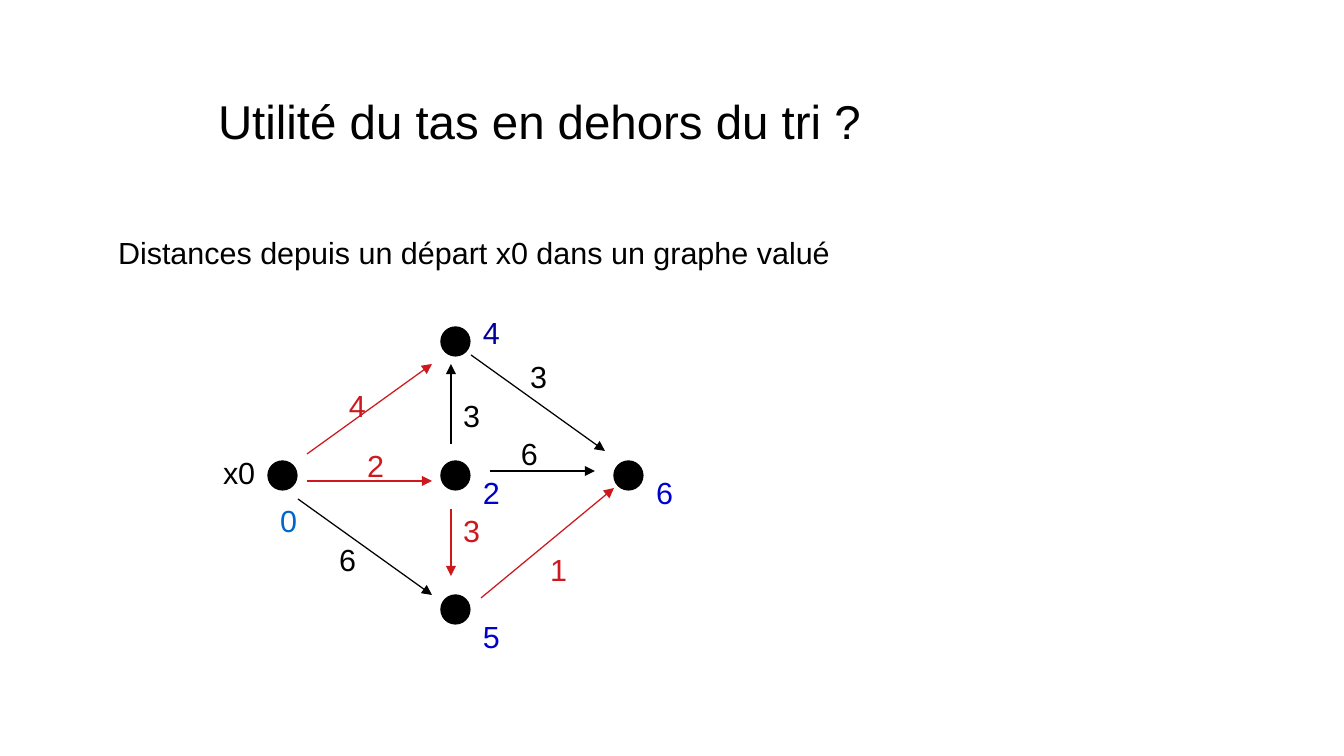
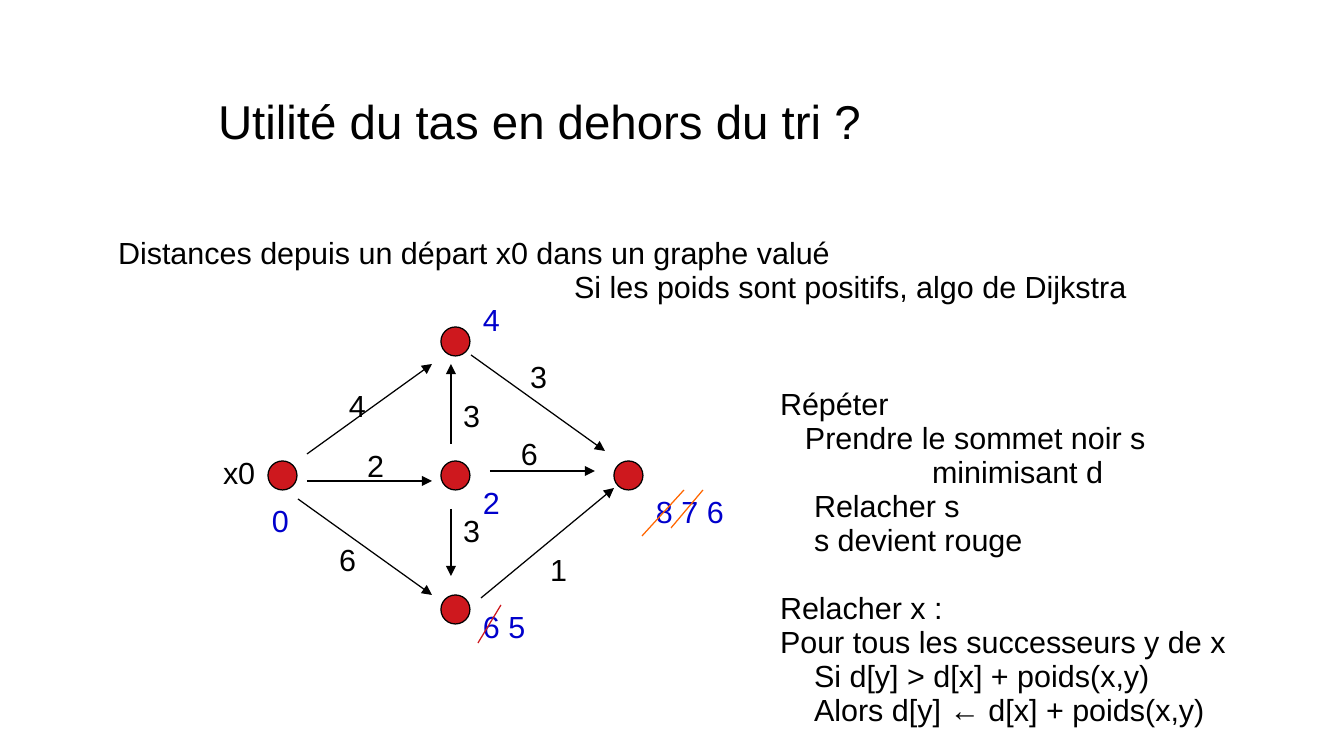
from dataclasses import dataclass

from lxml import etree
from pptx import Presentation
from pptx import util as u
from pptx.dml.color import RGBColor
from pptx.enum import shapes, text
from pptx.oxml import ns
from pptx.slide import Slide

EMU_PER_PX = 914400 / 122
SLIDE_WIDTH, SLIDE_HEIGHT = 1344, 756

BLACK = RGBColor(0x00, 0x00, 0x00)
WHITE = RGBColor(0xFF, 0xFF, 0xFF)
RED = RGBColor(0xCE, 0x18, 0x1E)
ORANGE = RGBColor(0xFF, 0x66, 0x00)
BLUE = RGBColor(0x00, 0x00, 0xCC)
NAVY = RGBColor(0x00, 0x00, 0x99)
AZURE = RGBColor(0x00, 0x66, 0xCC)

FONT = "Arial"
TITLE_SIZE, BODY_SIZE = 28, 18
LINE_SPACING = 0.93
LINE_WIDTH = u.Pt(0.75)

NODE_SIZE = 29
NODE_LEFT, NODE_TOP = 268, 327
COLUMN_STEP, ROW_STEP = 173, 134
NODE_CELLS = [(0, 1), (1, 0), (1, 1), (1, 2), (2, 1)]
LABEL_HEIGHT = 46

Point = tuple[int, int]


@dataclass(frozen=True)
class Line:
    text: str
    indent: int = 0
    space_before: int = 0


@dataclass(frozen=True)
class Edge:
    start: Point
    end: Point
    weight: str
    weight_at: Point
    shortest: bool = False


@dataclass(frozen=True)
class Distance:
    text: str
    at: Point
    color: RGBColor = BLUE
    width: int = 48


@dataclass(frozen=True)
class Strike:
    start: Point
    end: Point
    color: RGBColor


TITLE = Line("Utilité du tas en dehors du tri ?", indent=158)
SUBJECT = Line("Distances depuis un départ x0 dans un graphe valué")
DIJKSTRA = Line("Si les poids sont positifs, algo de Dijkstra", indent=456)

EDGES = [
    Edge((307, 454), (432, 364), "4", (337, 384), shortest=True),
    Edge((307, 481), (432, 481), "2", (355, 444), shortest=True),
    Edge((298, 499), (432, 595), "6", (327, 538)),
    Edge((481, 598), (614, 488), "1", (538, 548), shortest=True),
    Edge((471, 355), (605, 451), "3", (518, 355)),
    Edge((490, 471), (595, 471), "6", (509, 432)),
    Edge((451, 509), (451, 576), "3", (451, 509), shortest=True),
    Edge((451, 444), (451, 364), "3", (451, 394)),
]

FINAL_DISTANCES = [
    Distance("0", (268, 499), AZURE),
    Distance("4", (471, 311), NAVY),
    Distance("2", (471, 471)),
    Distance("5", (471, 615)),
    Distance("6", (644, 471)),
]

UPDATED_DISTANCES = [
    Distance("0", (260, 499)),
    Distance("4", (471, 298)),
    Distance("2", (471, 481)),
    Distance("6 5", (471, 605), width=77),
    Distance("8 7 6", (644, 490), width=144),
]

STRIKES = [
    Strike((501, 605), (478, 643), RED),
    Strike((684, 490), (642, 536), ORANGE),
    Strike((703, 490), (671, 528), ORANGE),
]

ALGORITHM = [
    Line("Répéter"),
    Line("Prendre le sommet noir s", indent=25),
    Line("minimisant d", indent=152),
    Line("Relacher s", indent=34),
    Line("s devient rouge", indent=34),
    Line("Relacher x :", space_before=34),
    Line("Pour tous les successeurs y de x"),
    Line("Si d[y] > d[x] + poids(x,y)", indent=34),
    Line("Alors d[y] ← d[x] + poids(x,y)", indent=34),
]


def px(length: int) -> u.Emu:
    return u.Emu(round(length * EMU_PER_PX))


def add_text(slide: Slide, at: Point, width: int, height: int, lines: list[Line],
             color: RGBColor = BLACK, size: int = BODY_SIZE, inset_top: int = 6) -> None:
    box = slide.shapes.add_textbox(px(at[0]), px(at[1]), px(width), px(height))
    frame = box.text_frame
    frame.word_wrap = True
    frame.vertical_anchor = text.MSO_ANCHOR.TOP
    frame.margin_left = frame.margin_right = px(12)
    frame.margin_top, frame.margin_bottom = px(inset_top), px(6)
    frame.text = "\n".join(line.text for line in lines)
    for paragraph, line in zip(frame.paragraphs, lines):
        paragraph.line_spacing = LINE_SPACING
        if line.space_before:
            paragraph.space_before = px(line.space_before)
        if line.indent:
            properties = paragraph._p.get_or_add_pPr()
            properties.set("marL", str(px(line.indent)))
            properties.set("indent", "0")
        for run in paragraph.runs:
            run.font.name = FONT
            run.font.size = u.Pt(size)
            run.font.color.rgb = color


def add_line(slide: Slide, start: Point, end: Point, color: RGBColor,
             arrow: bool = False) -> None:
    connector = slide.shapes.add_connector(
        shapes.MSO_CONNECTOR.STRAIGHT, *map(px, start + end))
    connector.line.color.rgb = color
    connector.line.width = LINE_WIDTH
    if arrow:
        outline = connector.line._get_or_add_ln()
        etree.SubElement(outline, ns.qn("a:tailEnd"), type="triangle")
    etree.SubElement(connector._element.spPr, ns.qn("a:effectLst"))


def add_node(slide: Slide, column: int, row: int, color: RGBColor) -> None:
    node = slide.shapes.add_shape(
        shapes.MSO_SHAPE.OVAL,
        px(NODE_LEFT + column * COLUMN_STEP), px(NODE_TOP + row * ROW_STEP),
        px(NODE_SIZE), px(NODE_SIZE))
    node.shadow.inherit = False
    node.fill.solid()
    node.fill.fore_color.rgb = color
    node.line.color.rgb = BLACK
    node.line.width = LINE_WIDTH


def add_graph(slide: Slide, node_color: RGBColor, shortest_color: RGBColor,
              distances: list[Distance]) -> None:
    for column, row in NODE_CELLS:
        add_node(slide, column, row, node_color)
    add_text(slide, (211, 451), 60, LABEL_HEIGHT, [Line("x0")])
    for edge in EDGES:
        color = shortest_color if edge.shortest else BLACK
        add_line(slide, edge.start, edge.end, color, arrow=True)
        add_text(slide, edge.weight_at, 57, LABEL_HEIGHT, [Line(edge.weight)], color)
    for distance in distances:
        add_text(slide, distance.at, distance.width, LABEL_HEIGHT,
                 [Line(distance.text)], distance.color)


def add_base_slide(presentation: Presentation, introduction: list[Line]) -> Slide:
    """Add a slide with the shared background, title and introduction."""
    slide = presentation.slides.add_slide(presentation.slide_layouts[6])
    slide.background.fill.solid()
    slide.background.fill.fore_color.rgb = WHITE
    add_text(slide, (48, 87), 1172, 65, [TITLE], size=TITLE_SIZE, inset_top=10)
    add_text(slide, (106, 231), 1163, 80, introduction)
    return slide


def main() -> None:
    presentation = Presentation()
    presentation.slide_width = px(SLIDE_WIDTH)
    presentation.slide_height = px(SLIDE_HEIGHT)

    result_slide = add_base_slide(presentation, [SUBJECT])
    add_graph(result_slide, BLACK, RED, FINAL_DISTANCES)

    dijkstra_slide = add_base_slide(presentation, [SUBJECT, DIJKSTRA])
    add_graph(dijkstra_slide, RED, BLACK, UPDATED_DISTANCES)
    for strike in STRIKES:
        add_line(dijkstra_slide, strike.start, strike.end, strike.color)
    add_text(dijkstra_slide, (768, 382), 538, 360, ALGORITHM)

    presentation.save("out.pptx")


if __name__ == "__main__":
    main()
